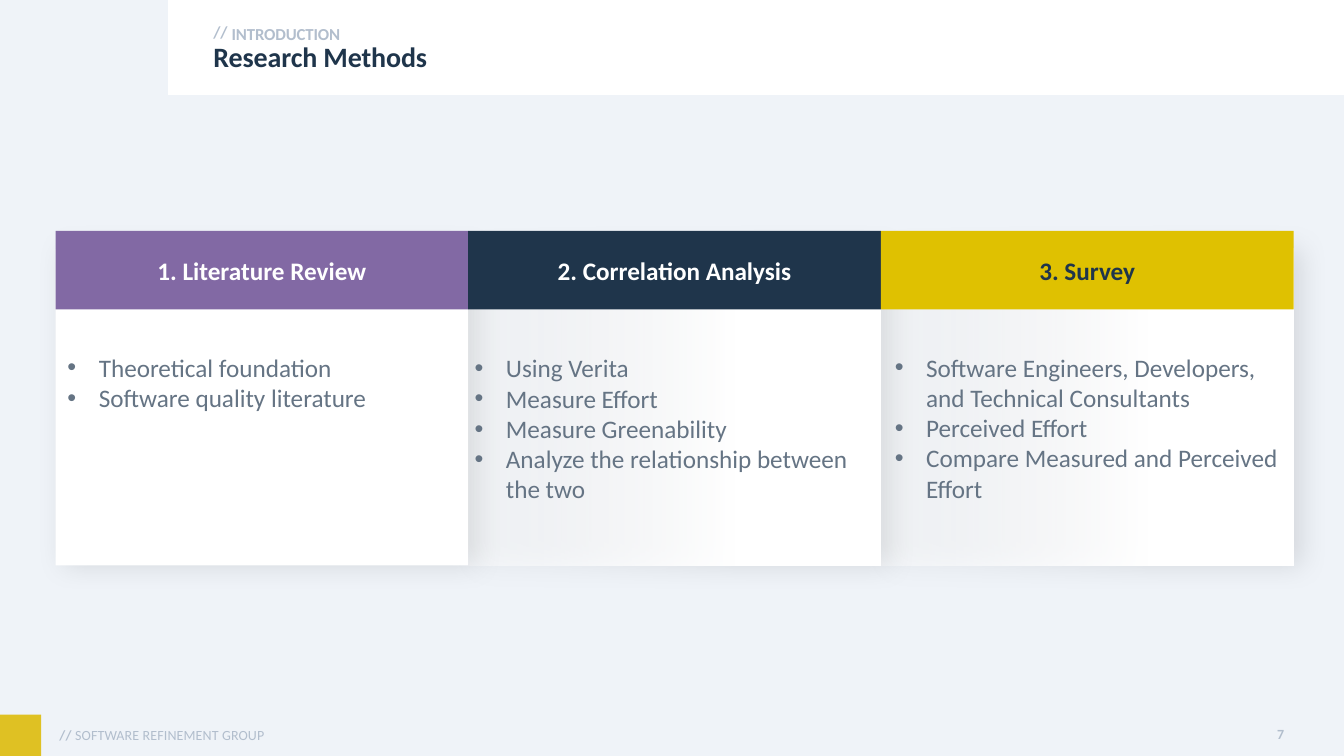
"""Build the Research Methods slide with three method cards."""
from dataclasses import dataclass

from lxml import etree
from pptx import Presentation
from pptx import util as u
from pptx.dml.color import RGBColor
from pptx.enum import shapes, text
from pptx.oxml import ns

NAVY, GREY, MUTED, WHITE = "1F354B", "657484", "B2BECD", "FFFFFF"
CARD_LEFT, CARD_WIDTH = 1.4, 10.4
FADE = ((0, 40), (19, 50), (65, 100))
DEFAULT_INSETS = (0.25, 0.13, 0.25, 0.13)
FOOTER_INSETS = (0, 0.1, 0.25, 0.13)


@dataclass
class Label:
    wording: tuple[str, ...]
    box: tuple[float, float, float, float]
    size: int
    colour: str = MUTED
    insets: tuple[float, float, float, float] = DEFAULT_INSETS
    middle: bool = False
    right: bool = False
    line_spacing: float = 1.0
    tracking: int = -10


@dataclass
class Card:
    title: str
    fill: str
    title_colour: str
    points: tuple[str, ...]
    points_box: tuple[float, float, float, float]
    faded: bool = True


LABELS = (
    Label(("//", " SOFTWARE REFINEMENT GROUP"), (1.5, 18.01, 13.44, 1.04), 10,
          insets=FOOTER_INSETS, middle=True, tracking=10),
    Label(("//",), (5.13, 0.41, 0.94, 0.76), 12, middle=True),
    Label(("7",), (31.6, 18.19, 1.01, 0.66), 10, insets=FOOTER_INSETS, right=True, tracking=10),
    Label(("INTRODUCTION",), (5.84, 0.48, 26.77, 0.61), 12,
          insets=(0, 0.05, 0.25, 0), line_spacing=1.14),
    Label(("Research Methods",), (5.38, 1.09, 27.25, 0.79), 20, NAVY,
          insets=(0, 0, 0, 0), line_spacing=0.9),
)

CARDS = (
    Card("1. Literature Review", "8269A4", WHITE,
         ("Theoretical foundation", "Software quality literature"),
         (1.45, 8.74, 10.36, 1.8), faded=False),
    Card("2. Correlation Analysis", NAVY, WHITE,
         ("Using Verita", "Measure Effort", "Measure Greenability",
          "Analyze the relationship between the two"),
         (11.71, 8.76, 10.34, 4.11)),
    Card("3. Survey", "DFC101", NAVY,
         ("Software Engineers, Developers, and Technical Consultants",
          "Perceived Effort", "Compare Measured and Perceived Effort"),
         (22.3, 8.74, 10.21, 4.11)),
)


def colour(value: str) -> RGBColor:
    """Turn a hex string into a colour."""
    return RGBColor.from_string(value)


def add_node(parent, tag: str, **attributes):
    """Append a drawing element to its parent."""
    return etree.SubElement(parent, ns.qn(tag), attributes)


def add_alpha_colour(parent, value: str, percent: int) -> None:
    """Append a colour with the given opacity."""
    node = add_node(parent, "a:srgbClr", val=value)
    add_node(node, "a:alpha", val=str(percent * 1000))


def style_font(font, size: int, value: str, bold: bool = False) -> None:
    """Set the slide's typeface with a size, colour and weight."""
    font.name = "Calibri"
    font.size = u.Pt(size)
    font.bold = bold
    font.color.rgb = colour(value)


def add_rectangle(slide, box: tuple, fill: str):
    """Draw a plain filled rectangle."""
    shape = slide.shapes.add_shape(shapes.MSO_SHAPE.RECTANGLE, *map(u.Cm, box))
    shape.fill.solid()
    shape.fill.fore_color.rgb = colour(fill)
    shape.line.fill.background()
    shape.shadow.inherit = False
    return shape


def add_text_box(slide, box: tuple, insets: tuple = DEFAULT_INSETS):
    """Add a wrapping text box and return its frame."""
    frame = slide.shapes.add_textbox(*map(u.Cm, box)).text_frame
    frame.word_wrap = True
    frame.margin_left, frame.margin_top, frame.margin_right, frame.margin_bottom = map(u.Cm, insets)
    return frame


def add_label(slide, label: Label) -> None:
    """Draw a one-line label whose first run is bold."""
    frame = add_text_box(slide, label.box, label.insets)
    if label.middle:
        frame.vertical_anchor = text.MSO_ANCHOR.MIDDLE
    paragraph = frame.paragraphs[0]
    paragraph.line_spacing = label.line_spacing
    if label.right:
        paragraph.alignment = text.PP_ALIGN.RIGHT
    for index, words in enumerate(label.wording):
        run = paragraph.add_run()
        run.text = words
        style_font(run.font, label.size, label.colour, bold=index == 0)
        run._r.get_or_add_rPr().set("spc", str(label.tracking))


def add_card_body(slide, left: float, faded: bool) -> None:
    """Draw the white panel of a card with its soft shadow."""
    panel = add_rectangle(slide, (left, 6.27, CARD_WIDTH, 7.98), WHITE)
    properties = panel._element.spPr
    if faded:
        panel.fill.gradient()
        panel.fill.gradient_angle = 0
        stops = properties.find(".//" + ns.qn("a:gsLst"))
        for stop in list(stops):
            stops.remove(stop)
        for position, opacity in FADE:
            stop = add_node(stops, "a:gs", pos=str(position * 1000))
            add_alpha_colour(stop, WHITE, opacity)
    shadow = add_node(properties.find(ns.qn("a:effectLst")), "a:outerShdw",
                      blurRad=str(u.Pt(20)), dist=str(u.Pt(6)), dir="0",
                      algn="ctr", rotWithShape="0")
    add_alpha_colour(shadow, "000000", 11)


def add_card_text(slide, left: float, card: Card) -> None:
    """Draw the coloured heading and the bullet points of a card."""
    heading = add_rectangle(slide, (left, 5.82, CARD_WIDTH, 1.98), card.fill)
    heading.text_frame.text = card.title
    heading.text_frame.vertical_anchor = text.MSO_ANCHOR.MIDDLE
    title = heading.text_frame.paragraphs[0]
    title.alignment = text.PP_ALIGN.CENTER
    style_font(title.runs[0].font, 18, card.title_colour, bold=True)
    frame = add_text_box(slide, card.points_box)
    frame.text = "\n".join(card.points)
    for paragraph in frame.paragraphs:
        properties = paragraph._p.get_or_add_pPr()
        properties.set("marL", str(u.Cm(0.79)))
        properties.set("indent", str(u.Cm(-0.79)))
        add_node(properties, "a:buFont", typeface="Arial")
        add_node(properties, "a:buChar", char="•")
        style_font(paragraph.runs[0].font, 18, GREY)


def main() -> None:
    """Compose and save the slide."""
    presentation = Presentation()
    presentation.slide_width, presentation.slide_height = u.Cm(33.87), u.Cm(19.05)
    slide = presentation.slides.add_slide(presentation.slide_layouts[6])
    slide.background.fill.solid()
    slide.background.fill.fore_color.rgb = colour("EFF3F8")
    add_rectangle(slide, (4.24, 0, 29.63, 2.39), WHITE)
    add_rectangle(slide, (0, 18.01, 1.04, 1.04), "DFC123")
    for label in LABELS:
        add_label(slide, label)
    placed = [(CARD_LEFT + index * CARD_WIDTH, card) for index, card in enumerate(CARDS)]
    for left, card in reversed(placed):
        add_card_body(slide, left, card.faded)
    for left, card in placed:
        add_card_text(slide, left, card)
    presentation.save("out.pptx")


if __name__ == "__main__":
    main()
